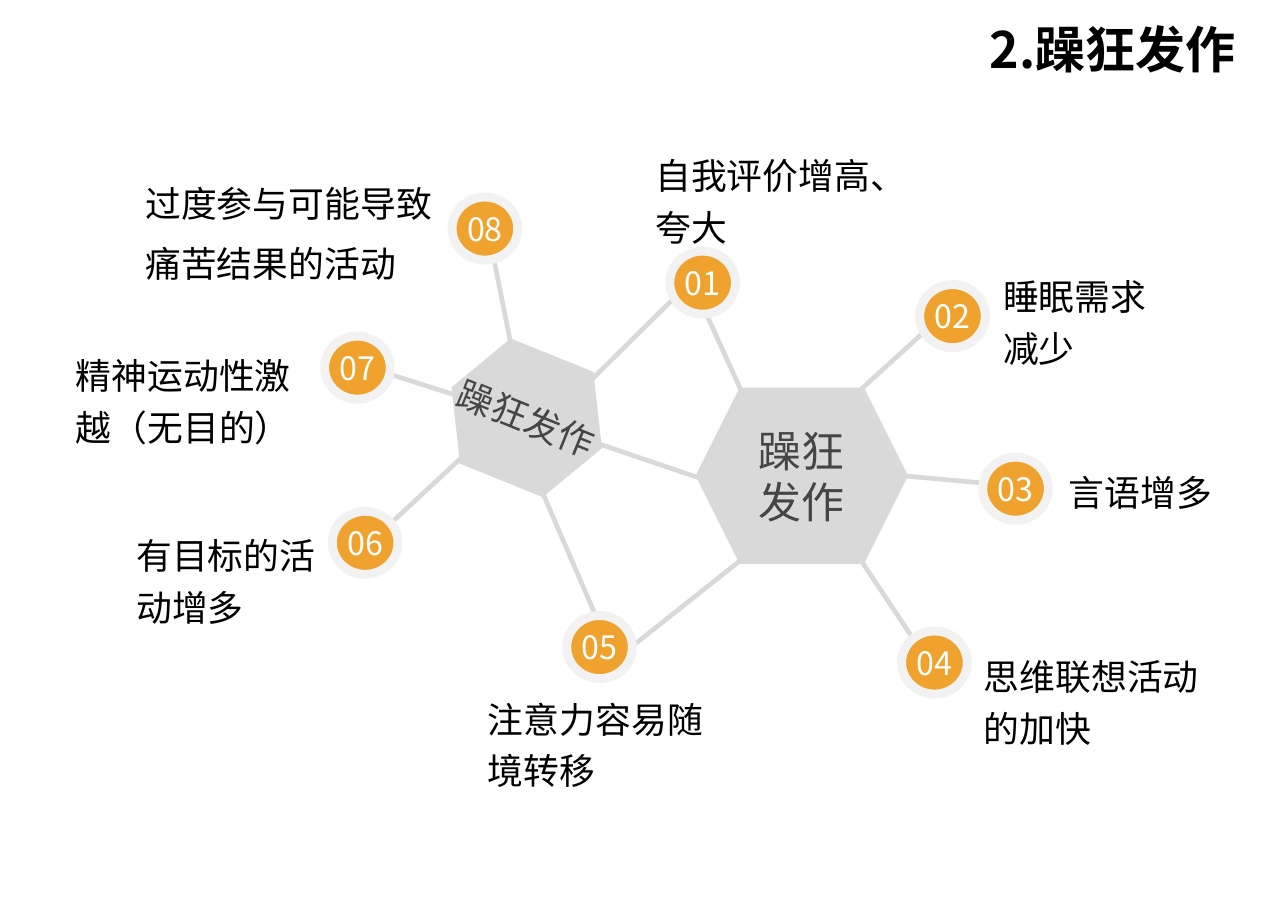
from pptx import Presentation
from pptx.dml.color import RGBColor
from pptx.enum import shapes as kinds, text as txt
from pptx.oxml.ns import qn
from pptx.util import Inches, Pt
from lxml import etree

FONT = "Noto Sans CJK SC"
GREY = RGBColor(0xD9, 0xD9, 0xD9)
PALE = RGBColor(0xF2, 0xF2, 0xF2)
AMBER = RGBColor(0xF0, 0xA2, 0x2E)
DARK = RGBColor(0x45, 0x45, 0x45)
BLACK = RGBColor(0, 0, 0)
WHITE = RGBColor(0xFF, 0xFF, 0xFF)

WIDE, HIGH = 0.51, 0.49  # badge size

# number, badge left and top, label, label box, line spacing
SIGNS = [
    ("01", (5.20, 1.95), "自我评价增高、夸大", (4.99, 1.16, 2.06, 0.74), 1.2),
    ("02", (7.14, 2.21), "睡眠需求减少", (7.69, 2.08, 1.41, 0.78), 1.2),
    ("03", (7.63, 3.55), "言语增多", (8.20, 3.40, 1.41, 0.78), 1.2),
    ("04", (7.00, 4.90), "思维联想活动的加快", (7.54, 5.03, 2.01, 0.78), 1.2),
    ("05", (4.40, 4.78), "注意力容易随境转移", (3.69, 5.38, 2.00, 0.74), 1.2),
    ("06", (2.58, 3.97), "有目标的活动增多", (0.96, 4.09, 1.61, 0.78), 1.2),
    ("07", (2.52, 2.61), "精神运动性激越（无目的）", (0.49, 2.69, 2.06, 0.78), 1.2),
    ("08", (3.51, 1.53), "过度参与可能导致痛苦结果的活动", (1.03, 1.36, 2.43, 0.77), 1.4),
]

# hexagon end, then far end
LINKS = [
    (3.97, 2.69, 3.83, 1.99),
    (4.49, 3.05, 5.33, 2.22),
    (4.57, 3.42, 5.69, 3.80),
    (5.84, 4.28, 4.92, 5.01),
    (4.18, 3.75, 4.62, 4.77),
    (3.62, 3.52, 3.06, 4.04),
    (3.76, 3.14, 3.04, 2.91),
    (6.67, 4.33, 7.07, 4.93),
    (5.78, 3.09, 5.48, 2.43),
    (6.59, 3.11, 7.15, 2.60),
    (6.85, 3.68, 7.62, 3.75),
]


def inches(box):
    return [Inches(n) for n in box]


def write(shape, lines, size, color, align, wrap=True, bold=False, space=None):
    frame = shape.text_frame
    frame.word_wrap = wrap
    frame.vertical_anchor = txt.MSO_ANCHOR.MIDDLE
    frame.text = "\n".join(lines)
    for para in frame.paragraphs:
        para.alignment = align
        if space:
            para.line_spacing = space
        font = para.font
        font.name, font.size, font.bold = FONT, Pt(size), bold
        font.color.rgb = color
        for run in para.runs:
            east = etree.SubElement(run._r.get_or_add_rPr(), qn("a:ea"))
            east.set("typeface", FONT)


def add_solid(slide, kind, box, fill):
    """Add a filled shape without shadow, outline or text margins."""
    shape = slide.shapes.add_shape(kind, *inches(box))
    shape.shadow.inherit = False
    shape.fill.solid()
    shape.fill.fore_color.rgb = fill
    shape.line.fill.background()
    frame = shape.text_frame
    frame.margin_left = frame.margin_right = 0
    frame.margin_top = frame.margin_bottom = 0
    return shape


def add_link(slide, ends):
    line = slide.shapes.add_connector(kinds.MSO_CONNECTOR.STRAIGHT, *inches(ends))
    line.line.color.rgb = GREY
    line.line.width = Pt(2.6)
    etree.SubElement(line._element.spPr, qn("a:effectLst"))


def add_hub(slide, box, lines, size, turn=0, slant=0.25):
    hub = add_solid(slide, kinds.MSO_SHAPE.HEXAGON, box, GREY)
    hub.adjustments[0] = slant
    hub.rotation = turn
    write(hub, lines, size, DARK, txt.PP_ALIGN.CENTER, wrap=False)


def add_badge(slide, spot, number):
    badge = add_solid(slide, kinds.MSO_SHAPE.OVAL, (*spot, WIDE, HIGH), AMBER)
    badge.line.color.rgb = PALE
    badge.line.width = Pt(5)
    write(badge, [number], 18, WHITE, txt.PP_ALIGN.CENTER, wrap=False)


def add_label(slide, box, label, space):
    area = slide.shapes.add_textbox(*inches(box))
    write(area, [label], 20, BLACK, txt.PP_ALIGN.LEFT, space=space)


def add_title(slide, box, title):
    area = slide.shapes.add_textbox(*inches(box))
    write(area, [title], 28, BLACK, txt.PP_ALIGN.RIGHT, bold=True)


def main():
    deck = Presentation()
    deck.slide_width, deck.slide_height = Inches(10), Inches(7.09)
    slide = deck.slides.add_slide(deck.slide_layouts[6])
    for ends in LINKS:
        add_link(slide, ends)
    add_hub(slide, (5.40, 3.01, 1.65, 1.37), ["躁狂", "发作"], 24)
    add_hub(slide, (3.46, 2.72, 1.26, 1.05), ["躁狂发作"], 20, turn=22, slant=0.27)
    for number, spot, label, box, space in SIGNS:
        add_badge(slide, spot, number)
        add_label(slide, box, label, space)
    add_title(slide, (0.69, -0.21, 9, 1.18), "2.躁狂发作")
    deck.save("out.pptx")


if __name__ == "__main__":
    main()
